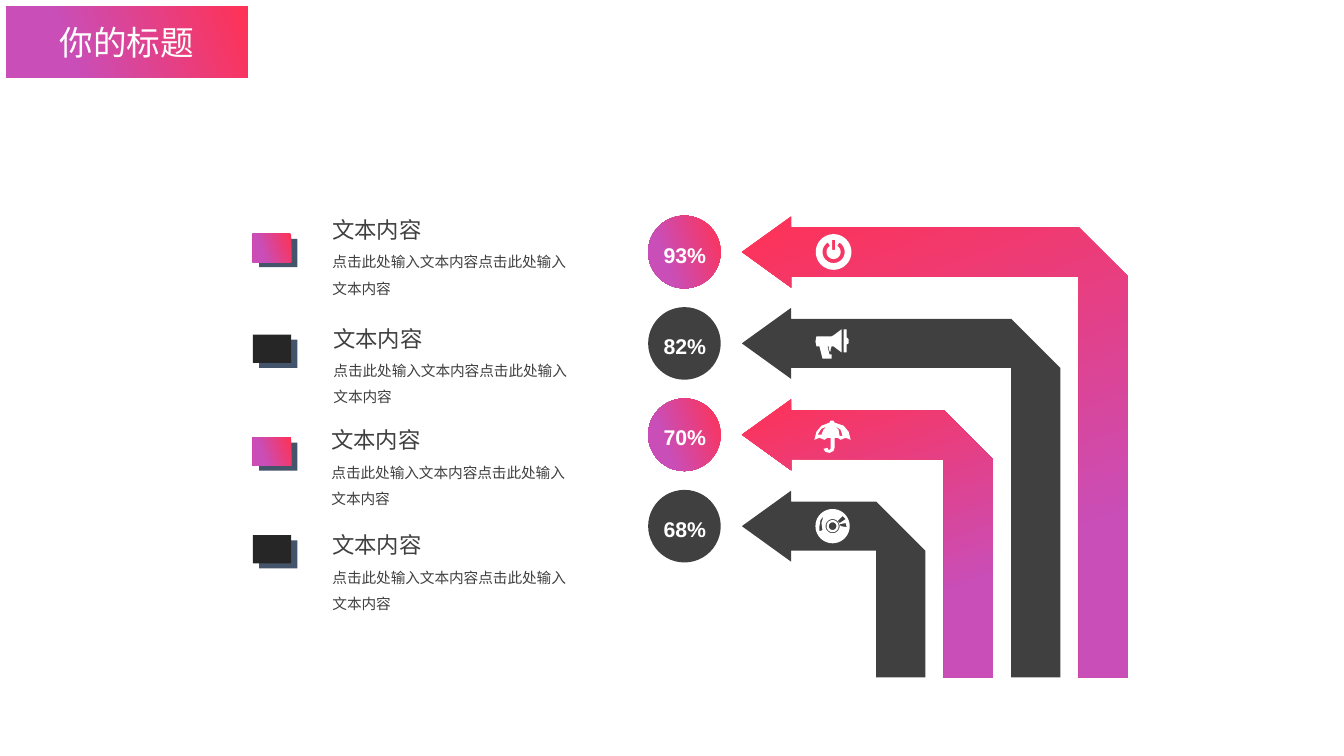
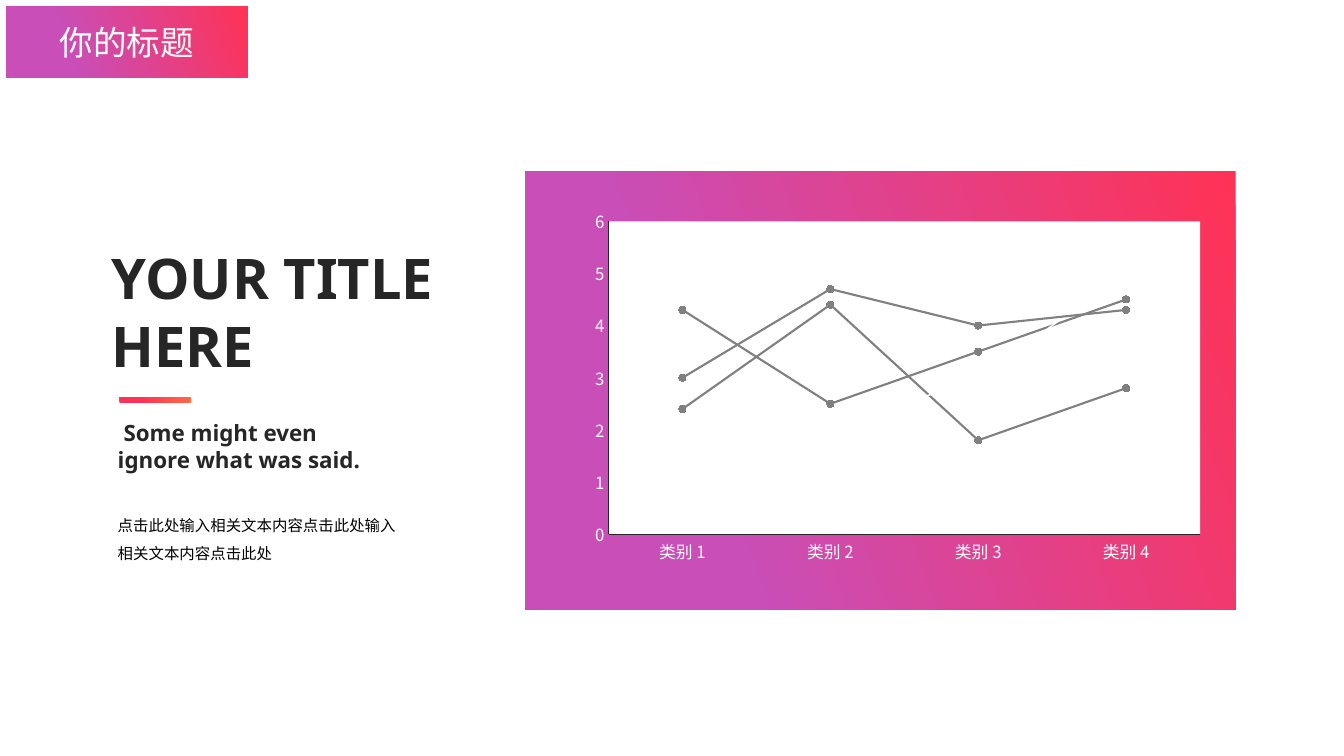
from math import cos, radians, sin

from lxml import etree
from pptx import Presentation
from pptx.chart.data import CategoryChartData
from pptx.dml.color import RGBColor
from pptx.enum.chart import XL_CHART_TYPE, XL_MARKER_STYLE, XL_TICK_MARK
from pptx.enum.shapes import MSO_SHAPE
from pptx.enum.text import MSO_ANCHOR, MSO_AUTO_SIZE, PP_ALIGN
from pptx.oxml.ns import qn
from pptx.util import Emu, Pt

LINE_MARKERS = XL_CHART_TYPE.LINE_MARKERS
CIRCLE_MARKER = XL_MARKER_STYLE.CIRCLE
NO_TICK = XL_TICK_MARK.NONE
RECTANGLE, OVAL = MSO_SHAPE.RECTANGLE, MSO_SHAPE.OVAL
MIDDLE, TOP = MSO_ANCHOR.MIDDLE, MSO_ANCHOR.TOP
NO_FIT, GROW = MSO_AUTO_SIZE.NONE, MSO_AUTO_SIZE.SHAPE_TO_FIT_TEXT
LEFT, CENTER = PP_ALIGN.LEFT, PP_ALIGN.CENTER

COLUMNS, ROWS = 40, 22.5
CELL = 304800
ICON_UNIT = 0.03

CJK, LATIN, NUMERIC = "Noto Sans CJK SC", "Noto Sans", "Arial"
WHITE, BLACK, INK, GRAPHITE = "FFFFFF", "000000", "262626", "404040"
SLATE, GRAY = "44546A", "808080"
PINK = ((0, "FF3255"), (73, "C94EB8"), (83, "C94EB8"))
ORANGE = ((0, "FF6C42"), (31, "FF524D"), (69, "FF3255"))
SLANT, STEEP = 160, 70

FIRST_CENTER, ROW_STEP = 7.5, 2.72
BADGE_LEFT, BADGE_SIZE = 19.29, 2.16
TIP, NECK, HEAD_HALF, SHAFT_HALF = 22.08, 23.55, 1.06, 0.73
FIRST_EDGE, EDGE_STEP, BASE = 33.57, 2.01, 20.16
ICON_CENTER = 24.81

HEADING = "文本内容"
DETAIL = "点击此处输入文本内容点击此处输入文本内容"
ENTRIES = (
    (6.96, 7.98, 5.88, PINK),
    (9.96, 8.01, 9.12, INK),
    (13.02, 7.95, 12.15, PINK),
    (15.93, 7.98, 15.27, INK),
)
CATEGORIES = ("类别 1", "类别 2", "类别 3", "类别 4")
SERIES = (
    ("Series 1", (4.3, 2.5, 3.5, 4.5), GRAY, 1.5),
    ("Series 2", (2.4, 4.4, 1.8, 2.8), GRAY, 1.5),
    ("Series 3", (2, 2, 3, 5), WHITE, 1),
    ("Series 4", (3, 4.7, 4, 4.3), GRAY, 1.5),
)


def grid(cells):
    return Emu(round(cells * CELL))


def color(value):
    return RGBColor.from_string(value)


def arc(radius, start=0, end=360, x=0, y=0, steps=40):
    angles = [radians(start + (end - start) * step / steps) for step in range(steps + 1)]
    return [(x + radius * cos(angle), y + radius * sin(angle)) for angle in angles]


def paint(shape, fill, angle=SLANT):
    if isinstance(fill, str):
        shape.fill.solid()
        shape.fill.fore_color.rgb = color(fill)
    else:
        shape.fill.gradient()
        shape.fill.gradient_angle = 360 - angle
        stops = next(shape.element.iter(qn("a:gsLst")))
        for stop in list(stops):
            stops.remove(stop)
        for position, value in fill:
            stop = etree.SubElement(stops, qn("a:gs"), pos=str(position * 1000))
            etree.SubElement(stop, qn("a:srgbClr"), val=value)
    shape.line.fill.background()


def set_east_asian(element):
    for latin in list(element.iter(qn("a:latin"))):
        latin.addnext(etree.Element(qn("a:ea"), typeface=latin.get("typeface")))


def set_font(font, size, name, value, bold=False):
    font.size = Pt(size)
    font.name = name
    font.bold = bold
    font.color.rgb = color(value)


def write(box, text, size, font=CJK, value=GRAPHITE, bold=False, align=LEFT,
          spacing=1, anchor=TOP, fit=GROW, wrap=True):
    frame = box.text_frame
    frame.word_wrap = wrap
    frame.auto_size = fit
    frame.vertical_anchor = anchor
    for index, line in enumerate(text.split("\n")):
        para = frame.add_paragraph() if index else frame.paragraphs[0]
        para.alignment = align
        para.line_spacing = spacing
        span = para.add_run()
        span.text = line
        set_font(span.font, size, font, value, bold)
    set_east_asian(box.element)


def add_text(page, left, top, width, height, text, **style):
    box = page.shapes.add_textbox(grid(left), grid(top), grid(width), grid(height))
    write(box, text, **style)


def add_block(page, kind, left, top, width, height, fill):
    block = page.shapes.add_shape(kind, grid(left), grid(top), grid(width), grid(height))
    block.shadow.inherit = False
    paint(block, fill)


def add_outline(page, contours, fill):
    pen = None
    for contour in contours:
        points = [(grid(x), grid(y)) for x, y in contour]
        if pen is None:
            pen = page.shapes.build_freeform(*points[0])
        else:
            pen.move_to(*points[0])
        pen.add_line_segments(points[1:], close=True)
    outline = pen.convert_to_shape()
    outline.shadow.inherit = False
    paint(outline, fill, STEEP)


def add_page(deck):
    page = deck.slides.add_slide(deck.slide_layouts[5])
    title = page.shapes.title
    title.left, title.top = grid(0.18), grid(0.18)
    title.width, title.height = grid(7.2), grid(2.13)
    paint(title, PINK)
    write(title, "你的标题", size=24, value=WHITE, align=CENTER, anchor=MIDDLE, fit=NO_FIT)
    return page


def power_icon():
    bar = [(-1.5, -12), (-1.5, -2), (1.5, -2), (1.5, -12)]
    ring = arc(11, -59, 239) + arc(7, 239, -59)
    return [arc(17.7), bar, ring]


def megaphone_icon():
    horn = [(-17, -7), (-2, -7), (0, -8), (8, -14), (8, 9), (0, 3), (-6, 3), (-4, 11),
            (-2, 11), (-2, 15), (-11, 15), (-14, 3), (-17, 3), (-18, -2)]
    rim = [(13, -14), (13, -6), (15, -4), (15, 0), (13, 1), (13, 9), (10, 9), (10, -14)]
    trigger = [(-2, 3), (-5, 3), (-4, 8), (-3, 8), (-3, 6)]
    return [horn, rim, trigger]


def umbrella_icon():
    canopy = [(-6, 13), (-5, 15), (-4, 15), (-3, 14), (-3, 3), (-6, 3), (-9, 5), (-14, 3),
              (-19, 5), (-17, -3), (-12, -9), (-4, -12), (-3, -14), (0, -14), (1, -12),
              (10, -9), (15, -3), (17, 5), (12, 3), (7, 5), (4, 3), (1, 3), (1, 13),
              (0, 16), (-4, 18), (-8, 17), (-10, 14)]
    right_gap = [(6, 1), (9, 1), (7, -5), (1, -9), (5, -5)]
    left_gap = [(-16, 0), (-12, 0), (-10, -5), (-7, -8), (-12, -6)]
    return [canopy, right_gap, left_gap]


def disc_icon():
    rings = [arc(radius, x=-1) for radius in (17, 7, 6, 3.8)]
    upper = [(4, -5), (6, -3), (12, -7), (9, -10)]
    lower = [(12, -3), (6, -2), (7, 0), (13, 1)]
    sheen = [(-10, -10), (-13, -6), (-14, 0), (-14, 5), (-11, 4), (-12, -3)]
    return rings + [upper, lower, sheen]


def add_arrow(page, center, edge, fill):
    inner = edge - 2 * SHAFT_HALF
    top, bottom = center - SHAFT_HALF, center + SHAFT_HALF
    contour = [(TIP, center), (NECK, center - HEAD_HALF), (NECK, top), (inner, top),
               (edge, bottom), (edge, BASE), (inner, BASE), (inner, bottom),
               (NECK, bottom), (NECK, center + HEAD_HALF)]
    add_outline(page, [contour], fill)


def add_icon(page, center, contours):
    placed = [[(ICON_CENTER + x * ICON_UNIT, center + y * ICON_UNIT) for x, y in contour]
              for contour in contours]
    add_outline(page, placed, WHITE)


def add_badge(page, center, text, fill):
    add_block(page, OVAL, BADGE_LEFT, center - BADGE_SIZE / 2, BADGE_SIZE, BADGE_SIZE, fill)
    add_text(page, BADGE_LEFT + 0.15, center - 0.6, 1.89, 1.14, text, size=15.2,
             font=NUMERIC, value=WHITE, bold=True, align=CENTER, spacing=1.2, wrap=False)


def add_entry(page, swatch_top, left, top, fill):
    add_block(page, RECTANGLE, 7.71, swatch_top + 0.15, 1.14, 0.84, SLATE)
    add_block(page, RECTANGLE, 7.53, swatch_top, 1.14, 0.84, fill)
    add_text(page, left + 1.62, top + 1.24, 7.68, 1.86, DETAIL, size=10.5, spacing=1.5)
    add_text(page, left, top, 6.48, 1.38, HEADING, size=16, align=CENTER, spacing=1.5)


def build_arrow_page(deck):
    page = add_page(deck)
    steps = (
        ("93%", PINK, power_icon()),
        ("82%", GRAPHITE, megaphone_icon()),
        ("70%", PINK, umbrella_icon()),
        ("68%", GRAPHITE, disc_icon()),
    )
    for index, (text, fill, icon) in enumerate(steps):
        center = FIRST_CENTER + index * ROW_STEP
        add_badge(page, center, text, fill)
        add_arrow(page, center, FIRST_EDGE - index * EDGE_STEP, fill)
        add_icon(page, center, icon)
    for entry in ENTRIES:
        add_entry(page, *entry)


def format_plot_area(chart):
    area = next(chart.element.iter(qn("c:plotArea")))
    for old in area.findall(qn("c:layout")):
        area.remove(old)
    layout = etree.Element(qn("c:layout"))
    manual = etree.SubElement(layout, qn("c:manualLayout"))
    settings = (("layoutTarget", "inner"), ("xMode", "edge"), ("yMode", "edge"),
                ("x", "0.06"), ("y", "0.04"), ("w", "0.91"), ("h", "0.75"))
    for tag, value in settings:
        etree.SubElement(manual, qn("c:" + tag), val=value)
    area.insert(0, layout)
    fill = etree.SubElement(etree.SubElement(area, qn("c:spPr")), qn("a:solidFill"))
    etree.SubElement(fill, qn("a:srgbClr"), val=WHITE)


def add_line_chart(page, left, top, width, height):
    data = CategoryChartData()
    data.categories = CATEGORIES
    for name, values, _, _ in SERIES:
        data.add_series(name, values)
    chart = page.shapes.add_chart(LINE_MARKERS, grid(left), grid(top), grid(width),
                                  grid(height), data).chart
    chart.has_title = chart.has_legend = False
    set_font(chart.font, 10, CJK, WHITE)
    for axis in (chart.category_axis, chart.value_axis):
        axis.has_major_gridlines = False
        axis.major_tick_mark = axis.minor_tick_mark = NO_TICK
        axis.format.line.color.rgb = color(INK)
        axis.format.line.width = Pt(0.75)
        set_font(axis.tick_labels.font, 12, CJK, WHITE)
    scale = chart.value_axis
    scale.minimum_scale, scale.maximum_scale, scale.major_unit = 0, 6, 1
    chart.plots[0].vary_by_categories = False
    for series, (_, _, value, weight) in zip(chart.plots[0].series, SERIES):
        series.smooth = False
        series.format.line.color.rgb = color(value)
        series.format.line.width = Pt(weight)
        series.marker.style = CIRCLE_MARKER
        series.marker.size = 5
        series.marker.format.fill.solid()
        series.marker.format.fill.fore_color.rgb = color(value)
        series.marker.format.line.color.rgb = color(value)
    format_plot_area(chart)
    set_east_asian(chart.element)


def build_chart_page(deck):
    page = add_page(deck)
    add_block(page, RECTANGLE, 15.63, 5.1, 21.15, 13.05, PINK)
    add_line_chart(page, 16.95, 6.09, 19.35, 12.42)
    add_text(page, 3.03, 7.11, 10.89, 4.35, "YOUR TITLE\nHERE", size=40, font=LATIN,
             value=INK, bold=True)
    add_block(page, RECTANGLE, 3.57, 11.82, 2.13, 0.15, ORANGE)
    add_text(page, 3.21, 12.33, 7.98, 1.92, " Some might even ignore what was said.",
             size=16, font=LATIN, value=INK, bold=True)
    add_text(page, 3.21, 14.94, 8.91, 1.86, "点击此处输入相关文本内容点击此处输入相关文本内容点击此处",
             size=11, value=BLACK, spacing=1.5)


def main():
    deck = Presentation()
    deck.slide_width, deck.slide_height = grid(COLUMNS), grid(ROWS)
    build_arrow_page(deck)
    build_chart_page(deck)
    deck.save("out.pptx")


if __name__ == "__main__":
    main()
